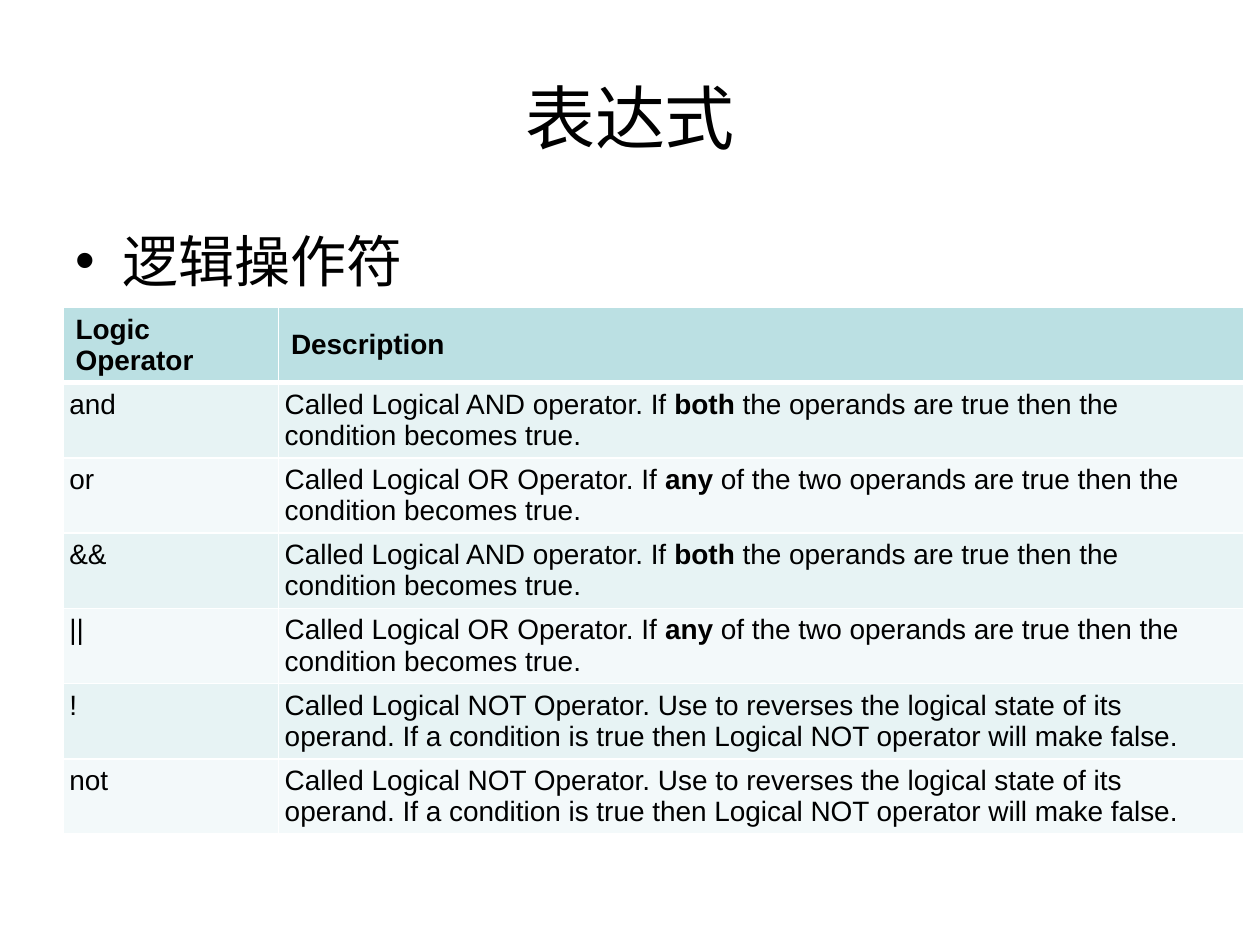
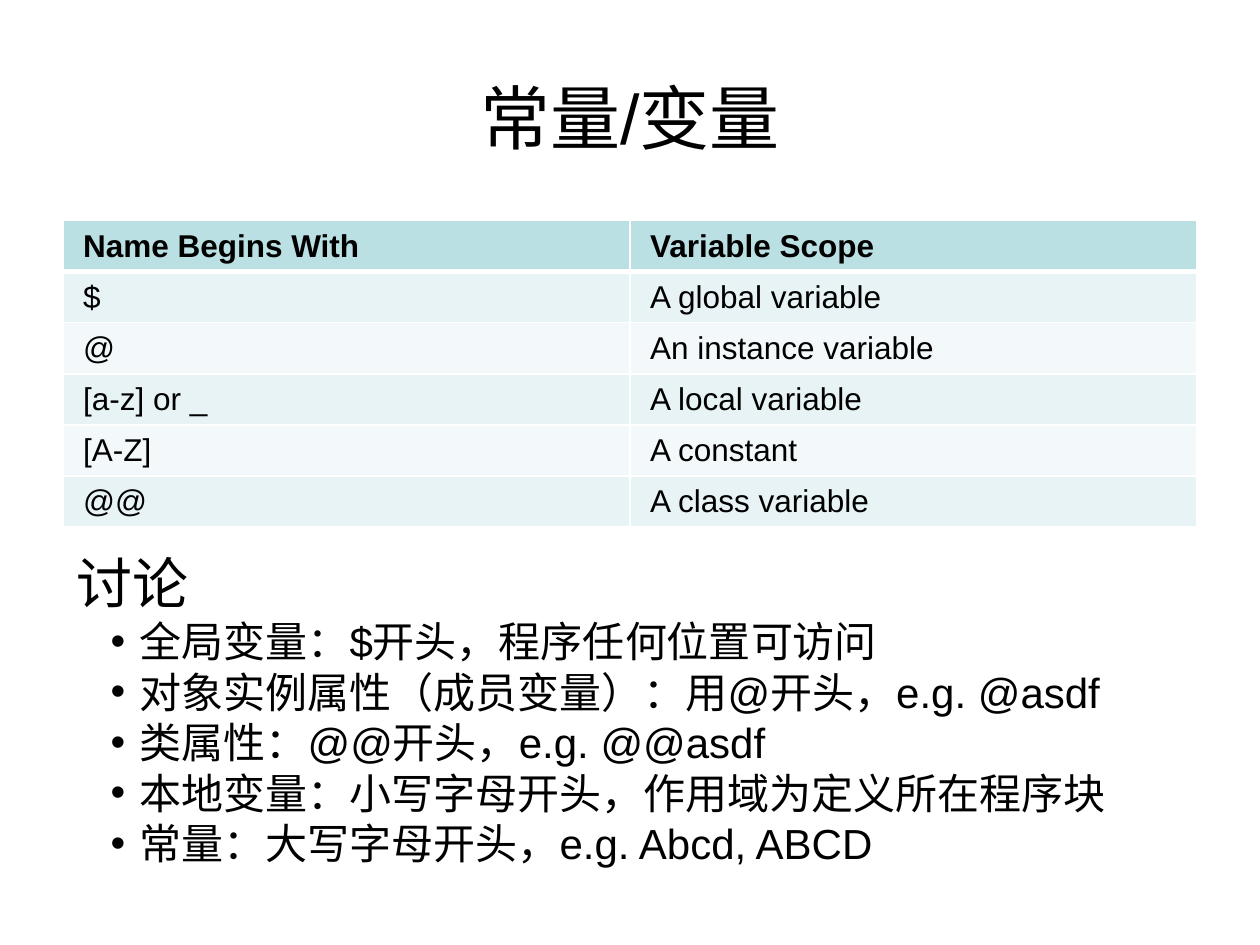
from lxml import etree
from pptx import Presentation, util as u
from pptx.dml.color import RGBColor
from pptx.enum import shapes, text
from pptx.oxml.ns import qn

BLACK, WHITE, HEADER = "000000", "FFFFFF", "BBE0E3"
BANDS = ["E7F3F4", "F3F9FA"]
FONT = "Arial"
TITLE_ONLY, TITLE_AND_CONTENT = 5, 1

deck = Presentation()
deck.slide_width, deck.slide_height = u.Inches(10), u.Inches(7.5)
COLUMN, ROW = deck.slide_width / 20, deck.slide_height / 30

# Boxes are left, top, width and height in grid columns and rows.
TITLE_BAND = (0, 2.08, 20, 2.52)
TITLE_BOX = (1, 1.2, 18, 5)
BODY_BOX = (1, 7, 18, 19.8)
OPERATOR_BOX = (1, 9.76, 18.74, 16.73)
SCOPE_BOX = (1, 7, 18, 9.74)
NOTES_BOX = (1.02, 17.22, 17.64, 10.64)

AND = "Called Logical AND operator. If **both** the operands are true then the condition becomes true."
OR = "Called Logical OR Operator. If **any** of the two operands are true then the condition becomes true."
NOT = ("Called Logical NOT Operator. Use to reverses the logical state of its operand. "
       "If a condition is true then Logical NOT operator will make false.")
OPERATORS = [("Logic Operator", "Description"), ("and", AND), ("or", OR),
             ("&&", AND), ("||", OR), ("!", NOT), ("not", NOT)]
SCOPES = [("Name Begins With", "Variable Scope"), ("$", "A global variable"),
          ("@", "An instance variable"), ("[a-z] or _", "A local variable"),
          ("[A-Z]", "A constant"), ("@@", "A class variable")]
DISCUSSION = ["全局变量：$开头，程序任何位置可访问",
              "对象实例属性（成员变量）：用@开头，e.g. @asdf",
              "类属性：@@开头，e.g. @@asdf",
              "本地变量：小写字母开头，作用域为定义所在程序块",
              "常量：大写字母开头，e.g. Abcd, ABCD"]


def color(value):
    return RGBColor.from_string(value)


def place(box):
    left, top, width, height = box
    return [u.Emu(round(length)) for length in
            (left * COLUMN, top * ROW, width * COLUMN, height * ROW)]


def write(para, words, size, bold=False, align=None, bullet=None):
    """Fill a paragraph; words between ** are bold, bullet is (margin, hang) in inches."""
    if bullet:
        margin, hang = (u.Inches(length) for length in bullet)
        props = para._p.get_or_add_pPr()
        props.set("marL", str(margin))
        props.set("indent", str(-hang))
        etree.SubElement(props, qn("a:buFont"), typeface=FONT)
        etree.SubElement(props, qn("a:buChar"), char="•")
    if align is not None:
        para.alignment = align
    for index, part in enumerate(words.split("**")):
        span = para.add_run()
        span.text = part
        span.font.name, span.font.size = FONT, u.Pt(size)
        span.font.bold = bold or index % 2 == 1
        span.font.color.rgb = color(BLACK)


def add_master_band(page):
    """Draw the shared title band and move it to the back of the slide master."""
    band = page.shapes.add_shape(shapes.MSO_SHAPE.RECTANGLE, *place(TITLE_BAND))
    band.shadow.inherit = False
    band.fill.solid()
    band.fill.fore_color.rgb = band.line.color.rgb = color(WHITE)
    band.line.width = u.Pt(0.75)
    deck.slide_master.shapes._spTree.insert(2, band._element)


def fill_placeholder(holder, box, words, size, anchor, **style):
    holder.left, holder.top, holder.width, holder.height = place(box)
    frame = holder.text_frame
    frame.auto_size = text.MSO_AUTO_SIZE.NONE
    frame.vertical_anchor = anchor
    para = frame.paragraphs[0]
    write(para, words, size, **style)
    para.space_before = u.Pt(0)


def add_page(layout, title):
    page = deck.slides.add_slide(deck.slide_layouts[layout])
    fill_placeholder(page.shapes.title, TITLE_BOX, title, 40,
                     text.MSO_ANCHOR.MIDDLE, align=text.PP_ALIGN.CENTER)
    return page


def draw_borders(cell, **widths):
    props = cell._tc.get_or_add_tcPr()
    for index, side in enumerate("LRTB"):
        line = etree.Element(qn(f"a:ln{side}"), w=str(u.Pt(widths.get(side, 1))))
        paint = etree.SubElement(line, qn("a:solidFill"))
        etree.SubElement(paint, qn("a:srgbClr"), val=WHITE)
        props.insert(index, line)


def add_grid(page, box, rows, widths, size, body_anchor, header_inset, body_inset):
    """Add a banded table whose column widths are in grid columns."""
    left, top, width, height = place(box)
    table = page.shapes.add_table(len(rows), len(widths), left, top, width, height).table
    for column, span in zip(table.columns, widths):
        column.width = round(span * COLUMN)
    for index, row in enumerate(rows):
        header = index == 0
        table.rows[index].height = round(height / len(rows))
        for cell, words in zip(table.rows[index].cells, row):
            cell.fill.solid()
            cell.fill.fore_color.rgb = color(HEADER if header else BANDS[(index - 1) % 2])
            draw_borders(cell, B=3 if header else 1, T=3 if index == 1 else 1)
            cell.margin_left = cell.margin_right = u.Inches(header_inset if header else body_inset)
            cell.margin_top = cell.margin_bottom = u.Inches(0.05)
            cell.vertical_anchor = text.MSO_ANCHOR.MIDDLE if header else body_anchor
            write(cell.text_frame.paragraphs[0], words, size, bold=header)


def add_discussion(page, box, heading, points):
    frame = page.shapes.add_textbox(*place(box)).text_frame
    frame.word_wrap = True
    write(frame.paragraphs[0], heading, 32)
    for point in points:
        para = frame.add_paragraph()
        para.level = 1
        write(para, point, 24, bullet=(0.5, 0.23))


def build_expressions():
    page = add_page(TITLE_AND_CONTENT, "表达式")
    add_master_band(page)
    fill_placeholder(page.placeholders[1], BODY_BOX, "逻辑操作符", 32,
                     text.MSO_ANCHOR.TOP, bullet=(0.37, 0.37))
    add_grid(page, OPERATOR_BOX, OPERATORS, (3.42, 15.32), 16,
             text.MSO_ANCHOR.TOP, header_inset=0.1, body_inset=0.05)


def build_variables():
    page = add_page(TITLE_ONLY, "常量/变量")
    add_grid(page, SCOPE_BOX, SCOPES, (9, 9), 18,
             text.MSO_ANCHOR.MIDDLE, header_inset=0.16, body_inset=0.16)
    add_discussion(page, NOTES_BOX, "讨论", DISCUSSION)


if __name__ == "__main__":
    build_expressions()
    build_variables()
    deck.save("out.pptx")
